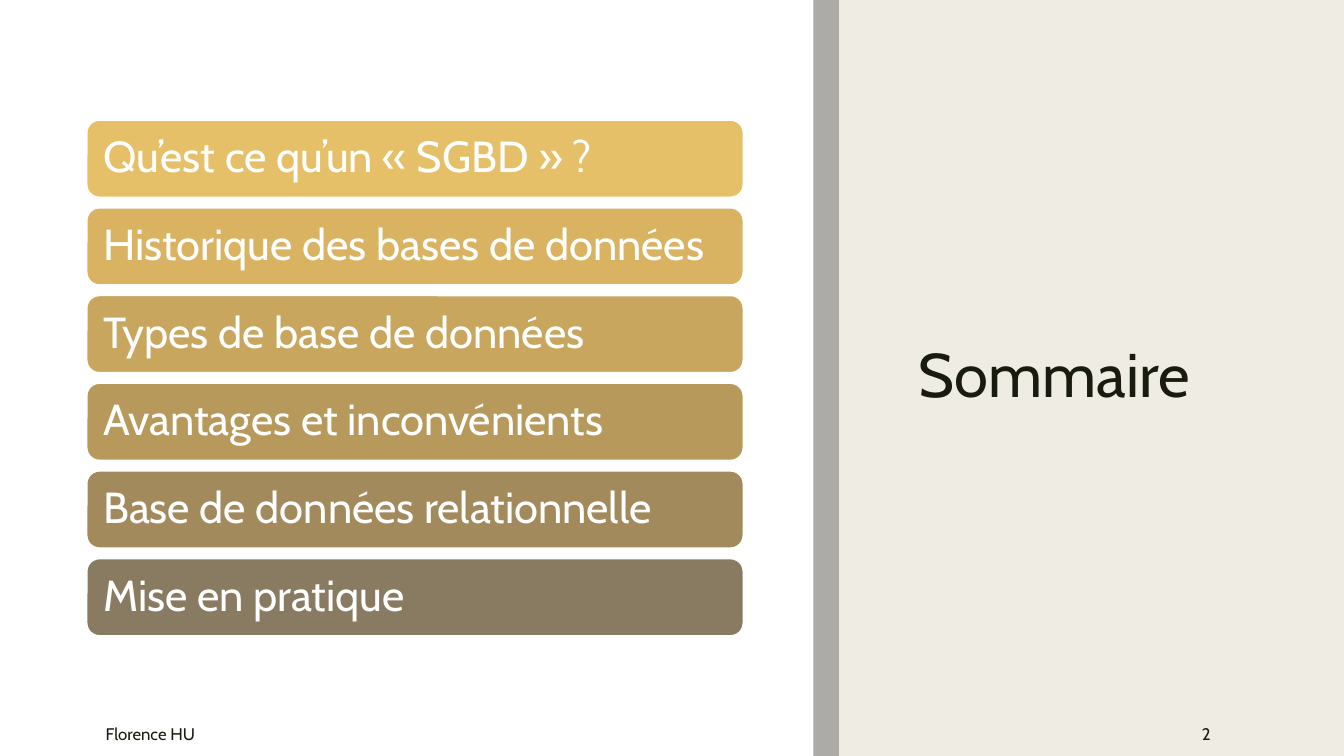
from dataclasses import dataclass

from lxml.etree import SubElement
from pptx import Presentation
from pptx.dml.color import RGBColor
from pptx.enum.shapes import MSO_SHAPE as Preset
from pptx.enum.text import MSO_ANCHOR as Anchor, PP_ALIGN as Align
from pptx.oxml.ns import qn
from pptx.util import Cm, Pt

TITLE = "Sommaire"
AUTHOR = "Florence HU"
PAGE = "2"
CHAPTERS = [
    ("Qu’est ce qu’un «\u00a0SGBD\u00a0» ?", "E6C069"),
    ("Historique des bases de données", "D9B362"),
    ("Types de base de données", "C9A65E"),
    ("Avantages et inconvénients", "B7995B"),
    ("Base de données relationnelle", "A38A5C"),
    ("Mise en pratique", "897B61"),
]


@dataclass(frozen=True)
class Theme:
    font: str = "Cabin"
    ink: str = "191B0E"
    white: str = "FFFFFF"
    beige: str = "EFEDE3"
    grey: str = "808080"
    title_size: int = 44
    chapter_size: int = 31
    footer_size: int = 12


THEME = Theme()
WIDTH, HEIGHT = 33.87, 19.05
PANEL_WIDTH, STRIPE_WIDTH = 20.5, 0.64
BAR_LEFT, BAR_TOP, BAR_WIDTH, BAR_HEIGHT = 2.18, 3.02, 16.56, 1.96
BAR_PITCH = 2.21
BAR_INSET = 0.33
FOOTER_TOP, FOOTER_HEIGHT = 17.93, 1.12


def add_block(slide, preset, box, fill):
    block = slide.shapes.add_shape(preset, *map(Cm, box))
    block.shadow.inherit = False
    block.fill.solid()
    block.fill.fore_color.rgb = RGBColor.from_string(fill)
    block.line.fill.background()
    return block


def write(shape, words, size, color, align=Align.LEFT, spacing=None, after=None):
    frame = shape.text_frame
    frame.word_wrap = True
    frame.vertical_anchor = Anchor.MIDDLE
    paragraph = frame.paragraphs[0]
    paragraph.alignment = align
    paragraph.line_spacing = spacing
    paragraph.space_after = after
    run = paragraph.add_run()
    run.text = words
    run.font.name = THEME.font
    run.font.size = Pt(size)
    run.font.color.rgb = RGBColor.from_string(color)


def add_label(slide, box, words, size, **layout):
    label = slide.shapes.add_textbox(*map(Cm, box))
    write(label, words, size, THEME.ink, **layout)


def add_chapter(slide, index, words, fill):
    box = (BAR_LEFT, BAR_TOP + index * BAR_PITCH, BAR_WIDTH, BAR_HEIGHT)
    bar = add_block(slide, Preset.ROUNDED_RECTANGLE, box, fill)
    bar.line.color.rgb = RGBColor.from_string(THEME.white)
    bar.line.width = Pt(1.5)
    frame = bar.text_frame
    frame.margin_left = frame.margin_right = Cm(BAR_INSET)
    frame.margin_top = frame.margin_bottom = Cm(BAR_INSET)
    write(bar, words, THEME.chapter_size, THEME.white, spacing=0.9)


def main():
    deck = Presentation()
    deck.slide_width, deck.slide_height = Cm(WIDTH), Cm(HEIGHT)
    slide = deck.slides.add_slide(deck.slide_layouts[6])

    add_block(slide, Preset.RECTANGLE, (0, 0, WIDTH, HEIGHT), THEME.beige)
    add_block(slide, Preset.RECTANGLE, (0, 0, PANEL_WIDTH, HEIGHT), THEME.white)
    stripe = add_block(slide, Preset.RECTANGLE,
                       (PANEL_WIDTH, 0, STRIPE_WIDTH, HEIGHT), THEME.grey)
    stripe_color = next(stripe.element.spPr.iter(qn("a:srgbClr")))
    SubElement(stripe_color, qn("a:alpha")).set("val", "60000")

    add_label(slide, (22.91, 1.78, 9.17, 15.49), TITLE, THEME.title_size, spacing=0.89)
    add_label(slide, (2.41, FOOTER_TOP, 17.45, FOOTER_HEIGHT), AUTHOR,
              THEME.footer_size, after=Pt(6))
    add_label(slide, (28.68, FOOTER_TOP, 2.08, FOOTER_HEIGHT), PAGE,
              THEME.footer_size, align=Align.RIGHT, after=Pt(6))

    for index, (words, fill) in enumerate(CHAPTERS):
        add_chapter(slide, index, words, fill)

    deck.save("out.pptx")


if __name__ == "__main__":
    main()
